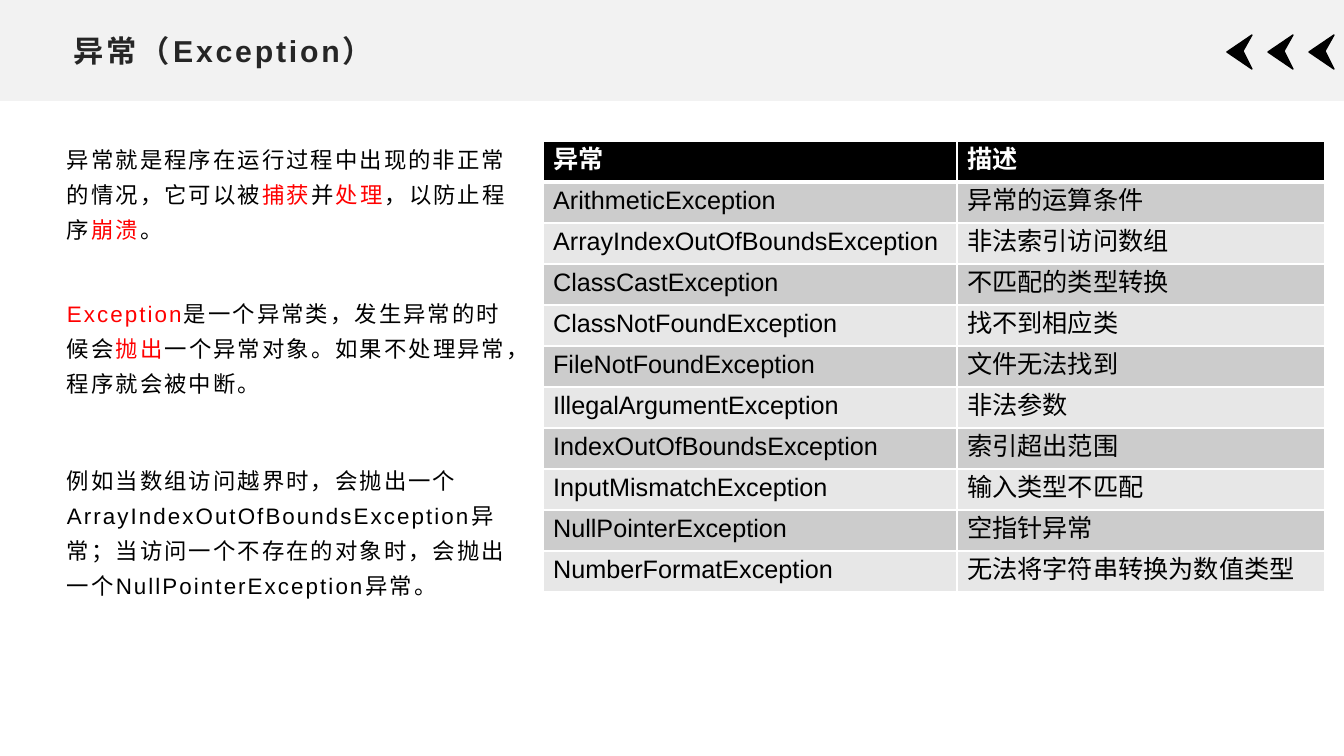
from lxml.etree import SubElement
from pptx import Presentation
from pptx.dml.color import RGBColor
from pptx.enum.lang import MSO_LANGUAGE_ID
from pptx.enum.shapes import MSO_SHAPE
from pptx.enum.text import MSO_ANCHOR
from pptx.oxml.ns import qn
from pptx.util import Pt

PX = 914400 / 100.8  # EMU in one px
BLACK, WHITE, RED = "000000", "FFFFFF", "FF0000"


def color(value):
    return RGBColor.from_string(value)


def format_run(run, size, fill, bold=False, spacing=0):
    font = run.font
    font.size, font.bold, font.name = Pt(size), bold, "Arial"
    font.color.rgb = color(fill)
    font.language_id = MSO_LANGUAGE_ID.SIMPLIFIED_CHINESE
    properties = run._r.get_or_add_rPr()
    properties.set("spc", str(int(spacing * 100)))
    SubElement(properties, qn("a:ea"), typeface="Arial")


presentation = Presentation()
presentation.slide_width = round(1344 * PX)
presentation.slide_height = round(756 * PX)
slide = presentation.slides.add_slide(presentation.slide_layouts[6])
shapes = slide.shapes

# Header band
band = shapes.add_shape(MSO_SHAPE.RECTANGLE, 0, 0, presentation.slide_width, round(101 * PX))
band.shadow.inherit = False
band.fill.solid()
band.fill.fore_color.rgb = color("F2F2F2")
band.line.fill.background()

# Three arrowheads pointing left
for index in range(3):
    right = 1252 + 41 * index
    builder = shapes.build_freeform(right, 69, scale=PX)
    builder.add_line_segments([(right - 25, 52), (right, 35), (right - 9, 51)], close=True)
    arrowhead = builder.convert_to_shape()
    arrowhead.shadow.inherit = False
    arrowhead.fill.solid()
    arrowhead.fill.fore_color.rgb = color(BLACK)
    arrowhead.line.color.rgb = color(BLACK)
    arrowhead.line.width = Pt(1)

# Title
title = shapes.add_textbox(*(round(v * PX) for v in (64, 26, 1217, 48)))
title_frame = title.text_frame
title_frame.word_wrap = True
title_frame.vertical_anchor = MSO_ANCHOR.MIDDLE
title_frame.text = "异常（Exception）"
format_run(title_frame.paragraphs[0].runs[0], 21.6, "262626", True, 2)

# Explanation: space after each paragraph, then its text with key words in red
explanation = [
    (35, [("异常就是程序在运行过程中出现的非正常的情况，它可以被", BLACK), ("捕获", RED),
          ("并", BLACK), ("处理", RED), ("，以防止程序", BLACK), ("崩溃", RED), ("。", BLACK)]),
    (45, [("Exception", RED), ("是一个异常类，发生异常的时候会", BLACK), ("抛出", RED),
          ("一个异常对象。如果不处理异常，程序就会被中断。", BLACK)]),
    (10, [("例如当数组访问越界时，会抛出一个ArrayIndexOutOfBoundsException异常；"
           "当访问一个不存在的对象时，会抛出一个NullPointerException异常。", BLACK)]),
]
body = shapes.add_textbox(*(round(v * PX) for v in (57, 133, 464, 490)))
body_frame = body.text_frame
body_frame.word_wrap = True
for index, (space_after, parts) in enumerate(explanation):
    paragraph = body_frame.add_paragraph() if index else body_frame.paragraphs[0]
    paragraph.line_spacing = 1.3
    paragraph.space_after = Pt(space_after)
    for text, fill in parts:
        run = paragraph.add_run()
        run.text = text
        format_run(run, 16, fill, spacing=1.5)

# Table of exceptions
rows = [
    ("异常", "描述"),
    ("ArithmeticException", "异常的运算条件"),
    ("ArrayIndexOutOfBoundsException", "非法索引访问数组"),
    ("ClassCastException", "不匹配的类型转换"),
    ("ClassNotFoundException", "找不到相应类"),
    ("FileNotFoundException", "文件无法找到"),
    ("IllegalArgumentException", "非法参数"),
    ("IndexOutOfBoundsException", "索引超出范围"),
    ("InputMismatchException", "输入类型不匹配"),
    ("NullPointerException", "空指针异常"),
    ("NumberFormatException", "无法将字符串转换为数值类型"),
]
table = shapes.add_table(
    len(rows), 2, *(round(v * PX) for v in (543, 141, 782, 41 * len(rows)))).table
for column, width in zip(table.columns, (414, 368)):
    column.width = round(width * PX)

for row_index, row in enumerate(rows):
    header = row_index == 0
    row_fill = BLACK if header else ("E7E7E7", "CCCCCC")[row_index % 2]
    for column_index, text in enumerate(row):
        cell = table.cell(row_index, column_index)
        cell.text_frame.text = text
        format_run(cell.text_frame.paragraphs[0].runs[0], 18, WHITE if header else BLACK, header)
        # White borders, thicker between header and rows
        for side in "LRTB":
            thick = (side == "B" and header) or (side == "T" and row_index == 1)
            border = SubElement(cell._tc.get_or_add_tcPr(), qn(f"a:ln{side}"),
                                w=str(Pt(3 if thick else 1)))
            SubElement(SubElement(border, qn("a:solidFill")), qn("a:srgbClr"), val=WHITE)
        cell.fill.solid()
        cell.fill.fore_color.rgb = color(row_fill)

presentation.save("out.pptx")
